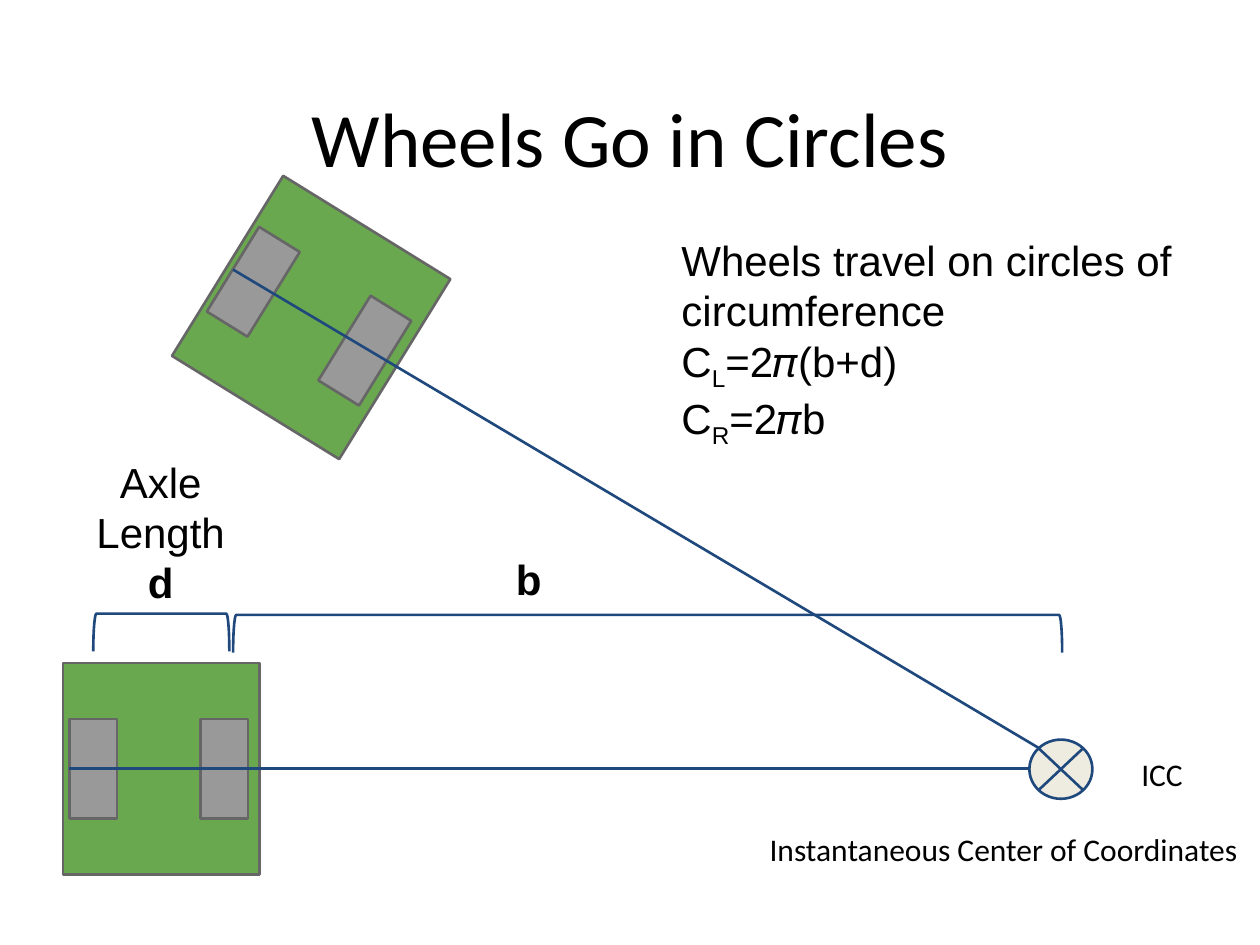
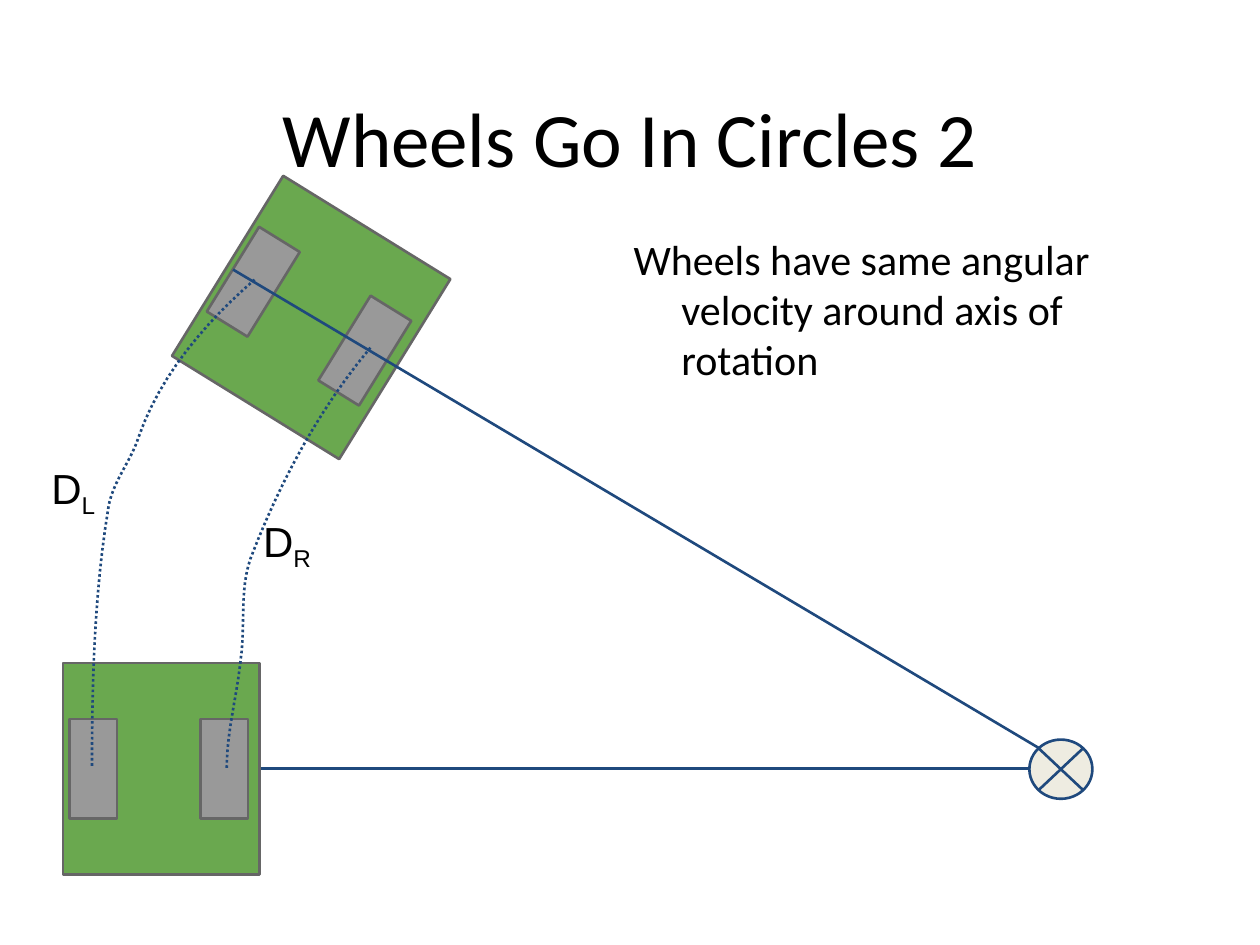
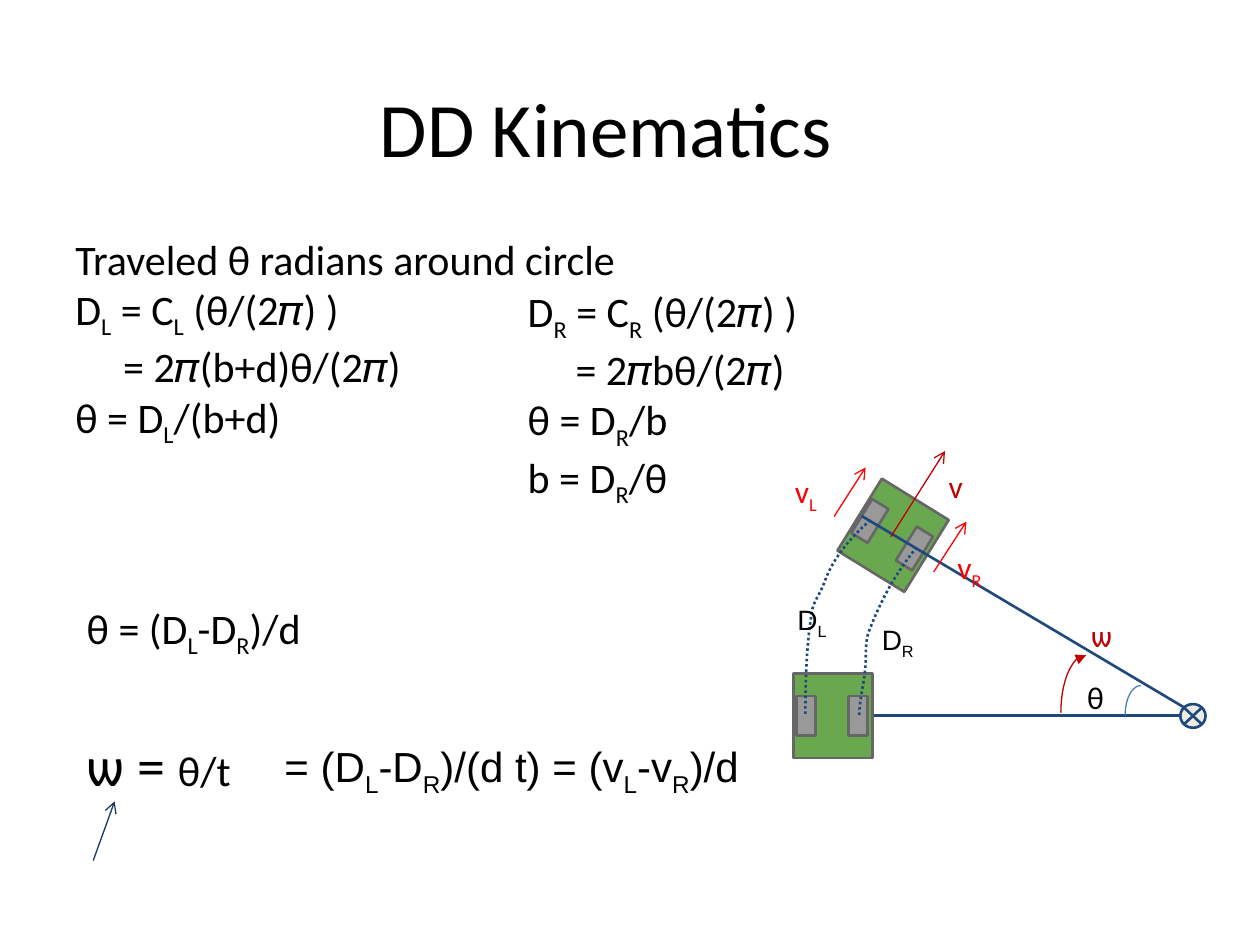
"""Build three slides on the geometry of a differential drive robot."""
import math
import pptx
import pptx.dml.color
import pptx.enum.dml
import pptx.enum.shapes
import pptx.enum.text
import pptx.oxml
import pptx.oxml.ns
import pptx.util

Inches = pptx.util.Inches
Pt = pptx.util.Pt
RGB = pptx.dml.color.RGBColor
Kind = pptx.enum.shapes.MSO_SHAPE
Align = pptx.enum.text.PP_ALIGN
Anchor = pptx.enum.text.MSO_ANCHOR

BLACK = RGB(0, 0, 0)
GREEN = RGB(0x6A, 0xA8, 0x4F)
GREY = RGB(0x99, 0x99, 0x99)
EDGE = RGB(0x66, 0x66, 0x66)
NAVY = RGB(0x1F, 0x49, 0x7D)
CREAM = RGB(0xEE, 0xEC, 0xE1)
DEEP = RGB(0x17, 0x37, 0x5E)
BLUE = RGB(0x4B, 0x7E, 0xBC)
RED = RGB(0xFF, 0, 0)
DARK = RGB(0xC0, 0, 0)

BODY, WHEEL = (1.68, 1.56), (0.79, 0.38)
AXLE = (-0.54, 0.5)
PARKED = ((1.28, 6.1), 0)
TURNED = ((2.47, 2.52), 31.7)
HUB = (8.17, 5.87, 0.5, 0.47)
SPOKES = [((0.55, 6.1), (8.17, 6.1)), ((8.25, 5.94), (1.85, 2.14))]
TRACKS = [
    [(2.02, 2.22), (1.63, 2.56), (1.27, 2.98), (1.1, 3.47), (1.04, 3.66),
     (0.89, 3.83), (0.86, 4.03), (0.75, 4.7), (0.73, 5.4), (0.73, 6.09)],
    [(2.94, 2.76), (2.53, 3.25), (2.22, 3.83), (1.99, 4.43), (1.9, 4.68),
     (1.95, 4.97), (1.91, 5.24), (1.88, 5.53), (1.8, 5.81), (1.8, 6.1)],
]
FULL, SMALL = (1, 0, 0), (0.4, 6.1, 3.24)

BRACES = [(1.13, 4.48, 0.3, 1.08), (4.99, 1.74, 0.3, 6.58)]
SPANS = [
    ((0.57, 3.52, 1.41, 0.67), "Axle Length *d"),
    ((3.49, 4.29, 1.41, 0.67), "*b"),
]
LAPS = ["Wheels travel on circles of circumference", "C_L=2𝜋(b+d)", "C_R=2𝜋b"]
HINTS = [
    ((8.96, 5.94, 0.54, 0.4), "ICC"),
    ((6.01, 6.54, 3.96, 0.4), "Instantaneous Center of Coordinates"),
]
SPIN = ["Wheels have same angular velocity around axis of rotation"]
PATHS = [((0.31, 3.57, 0.94, 0.93), "D_L"), ((1.99, 3.99, 0.94, 0.93), "D_R")]
MINIS = [((6.23, 4.68, 0.61, 0.35), "D_L"), ((6.9, 4.84, 0.85, 0.37), "D_R")]
SUMS = [
    ((0.5, 1.75, 5.63, 2.2),
     ["Traveled θ radians around circle", "D_L = C_L (θ/(2𝜋) ) ",
      "\t= 2𝜋(b+d)θ/(2𝜋)", "θ = D_L/(b+d)"]),
    ((4.09, 2.17, 5.63, 2.2),
     ["D_R = C_R (θ/(2𝜋) ) ", "\t= 2𝜋bθ/(2𝜋)", "θ = D_R/b", "b = D_R/θ"]),
    ((0.59, 4.68, 5.63, 2.2), ["θ = (D_L-D_R)/d"]),
]
RATE = "= (D_L-D_R)/(d t) = (v_L-v_R)/d"
ARROWS = [
    ((0.74, 6.83), (0.91, 6.36), DEEP),
    ((7.41, 4.54), (7.67, 4.14), RED),
    ((6.62, 4.1), (6.87, 3.71), RED),
    ((7.07, 4.26), (7.5, 3.58), DARK),
]
MARKS = [
    ((8.53, 5.33, 0.39, 0.4), "θ ", BLACK),
    ((7.5, 4.3, 0.41, 0.4), "v_R", RED),
    ((6.21, 3.7, 0.39, 0.4), "v_L", RED),
    ((7.43, 3.66, 0.32, 0.4), "v", DARK),
    ((8.56, 4.84, 0.37, 0.4), "ѡ", DARK),
]
ARCS = [((8.93, 5.44, 0.25, 0.47), BLUE, None), ((8.42, 5.2, 0.4, 0.91), DARK, "triangle")]


def box(at):
    return [Inches(v) for v in at]


def fit(view, at):
    k, x, y = view
    return (x + k * at[0], y + k * at[1], *(k * v for v in at[2:]))


def tip(line, end, kind):
    ln = line._get_or_add_ln()
    node = pptx.oxml.parse_xml(
        f'<a:{end} {pptx.oxml.ns.nsdecls("a")} type="{kind}"/>')
    ln.append(node)


def ink(line, hue, wide=1.5):
    line.color.rgb = hue
    line.width = Pt(wide)


def form(slide, kind, at, fill, hue, turn=0, wide=1.5):
    item = slide.shapes.add_shape(kind, *box(at))
    item.shadow.inherit = False
    item.rotation = turn
    if fill is None:
        item.fill.background()
    else:
        item.fill.solid()
        item.fill.fore_color.rgb = fill
    ink(item.line, hue, wide)
    return item


def link(slide, start, stop, hue=NAVY, wide=1.5):
    item = slide.shapes.add_connector(
        pptx.enum.shapes.MSO_CONNECTOR.STRAIGHT, *box(start), *box(stop))
    ink(item.line, hue, wide)
    bare = f'<a:effectLst {pptx.oxml.ns.nsdecls("a")}/>'
    item._element.spPr.append(pptx.oxml.parse_xml(bare))
    return item


def add(para, text, size, face, hue, bold=False, sub=False):
    if not text:
        return
    run = para.add_run()
    run.text = text
    font = run.font
    font.size, font.name, font.color.rgb = Pt(size), face, hue
    if bold:
        font.bold = True
    if sub:
        run._r.get_or_add_rPr().set("baseline", "-25000")


def note(slide, at, rows, size=24, face="Arial", hue=BLACK, hang=False, tight=False):
    item = slide.shapes.add_textbox(*box(at))
    frame = item.text_frame
    frame.word_wrap = not tight
    if not tight:
        frame.margin_top = frame.margin_bottom = Inches(0.1)
    for i, row in enumerate(rows):
        para = frame.add_paragraph() if i else frame.paragraphs[0]
        if hang:
            props = para._p.get_or_add_pPr()
            props.set("marL", str(Inches(0.38)))
            props.set("indent", str(-Inches(0.38)))
        plain, _, strong = row.partition("*")
        head, *rest = plain.split("_")
        add(para, head, size, face, hue)
        for part in rest:
            add(para, part[0], size, face, hue, sub=True)
            add(para, part[1:], size, face, hue)
        add(para, strong, size, face, hue, bold=True)
    return frame


def start(deck, text, left=0.5, top=0.3):
    slide = deck.slides.add_slide(deck.slide_layouts[5])
    title = slide.shapes.title
    title.left, title.top, title.width, title.height = box((left, top, 9, 1.25))
    frame = title.text_frame
    frame.text = text
    frame.auto_size = pptx.enum.text.MSO_AUTO_SIZE.NONE
    frame.vertical_anchor = Anchor.BOTTOM
    frame.margin_top = frame.margin_bottom = Inches(0.1)
    para = frame.paragraphs[0]
    para.alignment = Align.CENTER
    font = para.runs[0].font
    font.size, font.name, font.color.rgb = Pt(44), "Calibri", BLACK
    return slide


def car(slide, view, pose):
    (x, y), turn = pose
    rad = math.radians(turn)
    parts = [(x, y, BODY, GREEN)]
    parts += [(x + d * math.cos(rad), y + d * math.sin(rad), WHEEL, GREY) for d in AXLE]
    for cx, cy, (w, h), fill in parts:
        at = fit(view, (cx - w / 2, cy - h / 2, w, h))
        form(slide, Kind.RECTANGLE, at, fill, EDGE, 270 + turn)


def pivot(slide, view):
    car(slide, view, TURNED)
    form(slide, Kind.FLOWCHART_SUMMING_JUNCTION, fit(view, HUB), CREAM, NAVY)
    for a, b in SPOKES:
        link(slide, fit(view, a), fit(view, b))


def curve(knots, steps=12):
    dots = [knots[0]]
    for i in range(0, len(knots) - 1, 3):
        for n in range(1, steps + 1):
            t = n / steps
            mix = [math.comb(3, j) * t**j * (1 - t)**(3 - j) for j in range(4)]
            dots.append(tuple(
                sum(m * p[axis] for m, p in zip(mix, knots[i:i + 4]))
                for axis in (0, 1)))
    return dots


def drive(slide, view):
    pivot(slide, view)
    car(slide, view, PARKED)
    for track in TRACKS:
        dots = [box(fit(view, dot)) for dot in curve(track)]
        pen = slide.shapes.build_freeform(*dots[0])
        pen.add_line_segments(dots[1:], close=False)
        item = pen.convert_to_shape()
        item.shadow.inherit = False
        item.fill.background()
        ink(item.line, NAVY)
        item.line.dash_style = pptx.enum.dml.MSO_LINE.ROUND_DOT


def circles(deck):
    slide = start(deck, "Wheels Go in Circles")
    car(slide, FULL, PARKED)
    pivot(slide, FULL)
    for at in BRACES:
        form(slide, Kind.LEFT_BRACKET, at, None, NAVY, 90).adjustments[0] = 0.083
    for at, text in SPANS:
        note(slide, at, [text]).paragraphs[0].alignment = Align.CENTER
    note(slide, (5.31, 1.76, 4.51, 2.44), LAPS)
    for at, text in HINTS:
        note(slide, at, [text], 18, "Calibri", tight=True)


def again(deck):
    slide = start(deck, "Wheels Go In Circles 2")
    note(slide, (4.93, 1.75, 4.57, 5.43), SPIN, face="Calibri", hang=True)
    drive(slide, FULL)
    for at, text in PATHS:
        note(slide, at, [text])


def motion(deck):
    slide = start(deck, "DD Kinematics", 0.31, 0.22)
    for at, rows in SUMS:
        note(slide, at, rows, face="Calibri", hang=True)
    omega = note(slide, (0.59, 5.7, 1.68, 0.97), ["ѡ = "], 32, "Calibri", hang=True)
    add(omega.paragraphs[0], "θ/t ", 24, "Calibri", BLACK)
    rate = note(slide, (2.16, 5.62, 6.96, 0.97), [RATE])
    rate.vertical_anchor = Anchor.MIDDLE
    rate.paragraphs[0].space_before = Pt(6)
    drive(slide, SMALL)
    for at, text in MINIS:
        note(slide, at, [text], 16)
    for at, hue, end in ARCS:
        arc = form(slide, Kind.ARC, at, None, hue, wide=0.75)
        arc._element.spPr.xfrm.set("flipH", "1")
        if end:
            tip(arc.line, "headEnd", end)
    for a, b, hue in ARROWS:
        tip(link(slide, a, b, hue, 0.75).line, "tailEnd", "arrow")
    for at, text, hue in MARKS:
        note(slide, at, [text], 18, "Calibri", hue, tight=True)


deck = pptx.Presentation()
deck.slide_width, deck.slide_height = Inches(10), Inches(7.5)
for page in (circles, again, motion):
    page(deck)
deck.save("out.pptx")
